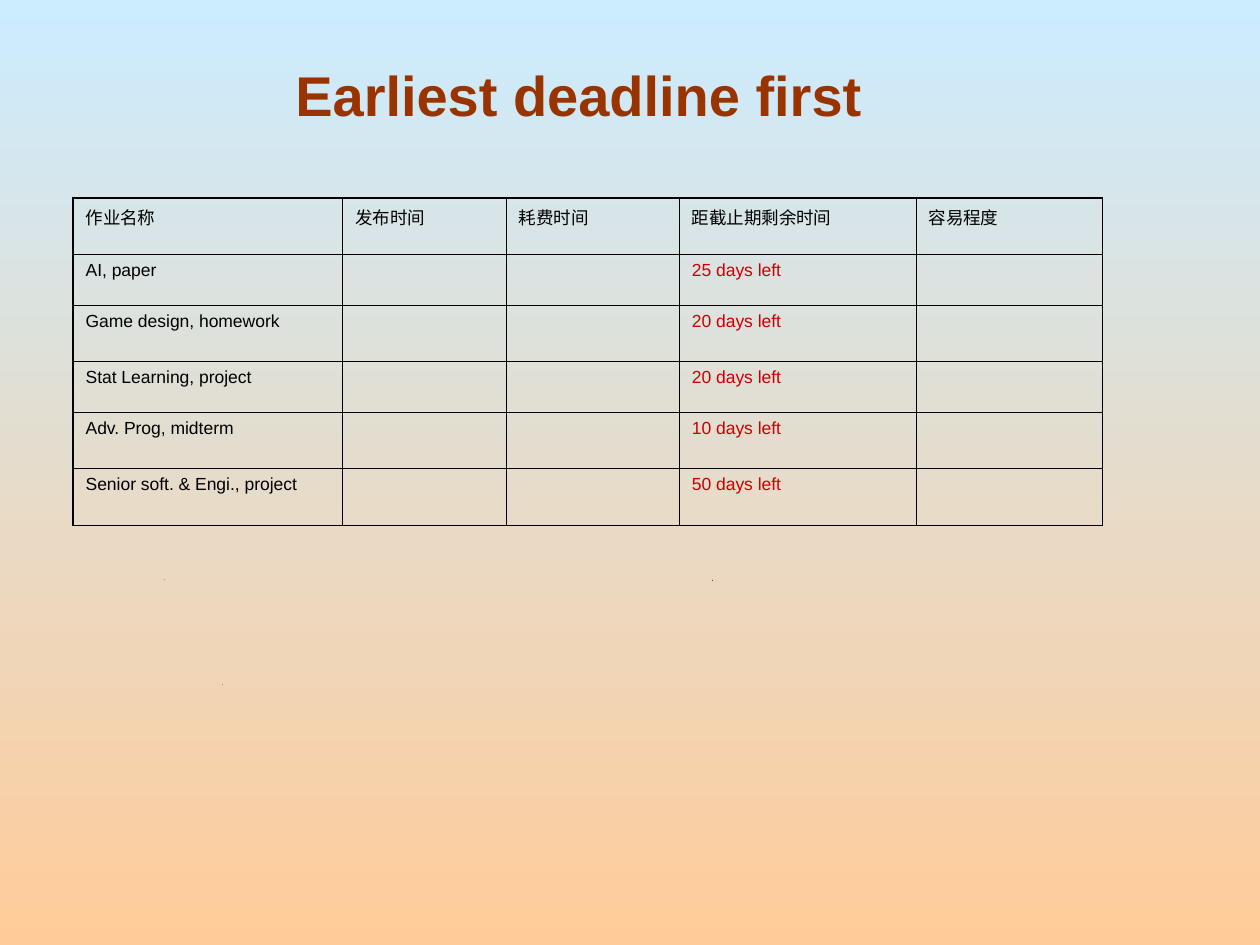
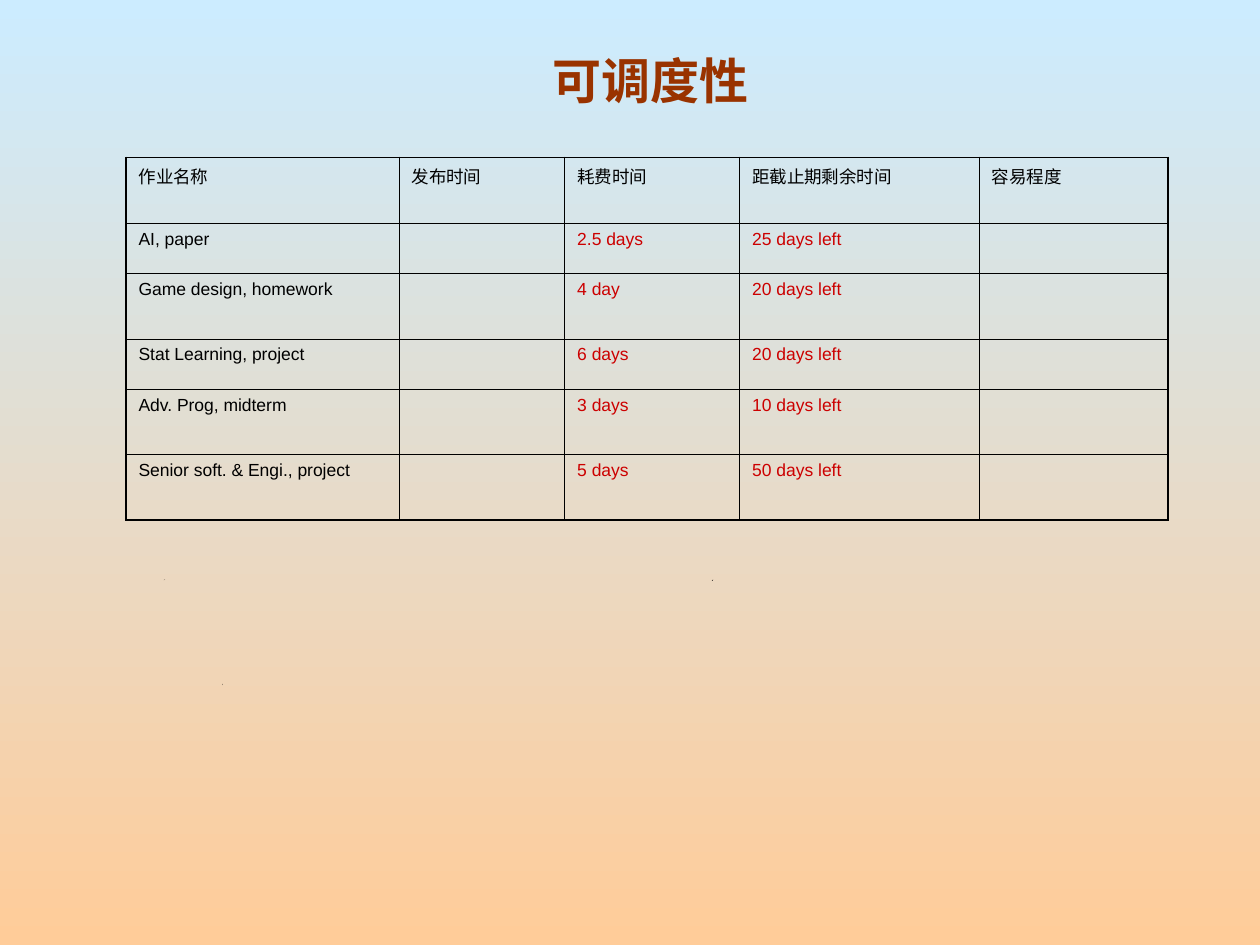
"""Build two slides on earliest-deadline-first scheduling of course assignments."""
from lxml import etree
from pptx import Presentation
from pptx import util as u
from pptx.dml.color import RGBColor
from pptx.enum import text
from pptx.oxml import ns

SKY = RGBColor(0xCC, 0xEC, 0xFF)
PEACH = RGBColor(0xFF, 0xCC, 0x99)
BROWN = RGBColor(0x99, 0x33, 0x00)
RED = RGBColor(0xCC, 0x00, 0x00)
BLACK = RGBColor(0x00, 0x00, 0x00)

THIN, THICK = u.Pt(0.45), u.Pt(1.08)
COLUMN_PERCENTS = [26.2, 15.9, 16.8, 23, 18.1]
HEADINGS = ["作业名称", "发布时间", "耗费时间", "距截止期剩余时间", "容易程度"]
ASSIGNMENTS = [
    ("AI, paper", "2.5 days", "25 days left"),
    ("Game design, homework", "4 day", "20 days left"),
    ("Stat Learning, project", "6 days", "20 days left"),
    ("Adv. Prog, midterm", "3 days", "10 days left"),
    ("Senior soft. & Engi., project", "5 days", "50 days left"),
]
SPECKS = [(1.76, 5.43, 0.3, 139.4), (1.3, 4.6, 0.3, 177.8), (5.65, 4.6, 0.7, 0)]
SLIDES = [
    dict(title="Earliest deadline first", title_box=(0.21, 0.25, 8.77, 1), title_size=32,
         anchor=text.MSO_ANCHOR.MIDDLE, table=(0.58, 1.57, 8.17), tall=0.45, short=0.33,
         show_cost=False),
    dict(title="可调度性", title_box=(0.75, 0.25, 8.83, 0.67), title_size=28,
         anchor=text.MSO_ANCHOR.BOTTOM, table=(1, 1.25, 8.27), tall=0.52, short=0.3,
         show_cost=True),
]


def write(frame, words, **font_format):
    """Fill the frame's first paragraph and style it."""
    paragraph = frame.paragraphs[0]
    paragraph.text = words
    color = font_format.pop("color")
    for name, value in dict(name="Arial", **font_format).items():
        setattr(paragraph.font, name, value)
    paragraph.font.color.rgb = color
    return paragraph


def draw_borders(cell, widths):
    """Give the cell black lines on the sides named in widths."""
    properties = cell._tc.get_or_add_tcPr()
    for side, width in widths.items():
        line = etree.SubElement(properties, ns.qn(f"a:ln{side}"), w=str(width))
        fill = etree.SubElement(line, ns.qn("a:solidFill"))
        etree.SubElement(fill, ns.qn("a:srgbClr"), val=str(BLACK))


presentation = Presentation()
presentation.slide_width, presentation.slide_height = u.Inches(10), u.Inches(7.5)

background = presentation.slide_master.background.fill
background.gradient()
background.gradient_angle = 270
for stop, color, position in zip(background.gradient_stops, (SKY, PEACH), (0, 1)):
    stop.color.rgb = color
    stop.position = position

for content in SLIDES:
    slide = presentation.slides.add_slide(presentation.slide_layouts[6])

    for left, top, height, rotation in SPECKS:
        x, y = u.Inches(left), u.Inches(top)
        builder = slide.shapes.build_freeform(x, y + u.Pt(height))
        builder.add_line_segments([(x + u.Pt(0.7), y), (x + u.Pt(0.3), y + u.Pt(height))])
        speck = builder.convert_to_shape()
        speck.rotation = rotation
        speck.shadow.inherit = False
        speck.fill.solid()
        speck.fill.fore_color.rgb = BLACK
        speck.line.fill.background()

    title = slide.shapes.add_textbox(*map(u.Inches, content["title_box"])).text_frame
    title.word_wrap = True
    title.vertical_anchor = content["anchor"]
    paragraph = write(title, content["title"], size=u.Pt(content["title_size"]), bold=True, color=BROWN)
    paragraph.alignment = text.PP_ALIGN.CENTER

    rows = [HEADINGS]
    for name, cost, remaining in ASSIGNMENTS:
        rows.append([name, "", cost if content["show_cost"] else "", remaining, ""])
    tall, short = content["tall"], content["short"]
    heights = [tall, short, tall, short, tall, tall]
    left, top, width = map(u.Inches, content["table"])
    table = slide.shapes.add_table(len(rows), len(HEADINGS), left, top, width,
                                   u.Inches(sum(heights))).table
    table.first_row = table.horz_banding = False
    for column, percent in zip(table.columns, COLUMN_PERCENTS):
        column.width = int(width * percent / 100)

    last_row, last_column = len(rows) - 1, len(HEADINGS) - 1
    for row_index, words_in_row in enumerate(rows):
        table.rows[row_index].height = u.Inches(heights[row_index])
        for column_index, words in enumerate(words_in_row):
            cell = table.cell(row_index, column_index)
            draw_borders(cell, {
                "L": THICK if column_index == 0 else THIN,
                "R": THICK if column_index == last_column else THIN,
                "T": THICK if row_index == 0 else THIN,
                "B": THICK if row_index == last_row else THIN,
            })
            cell.fill.background()
            if words:
                color = RED if row_index and column_index else BLACK
                write(cell.text_frame, words, size=u.Pt(10), bold=False, color=color)

presentation.save("out.pptx")
